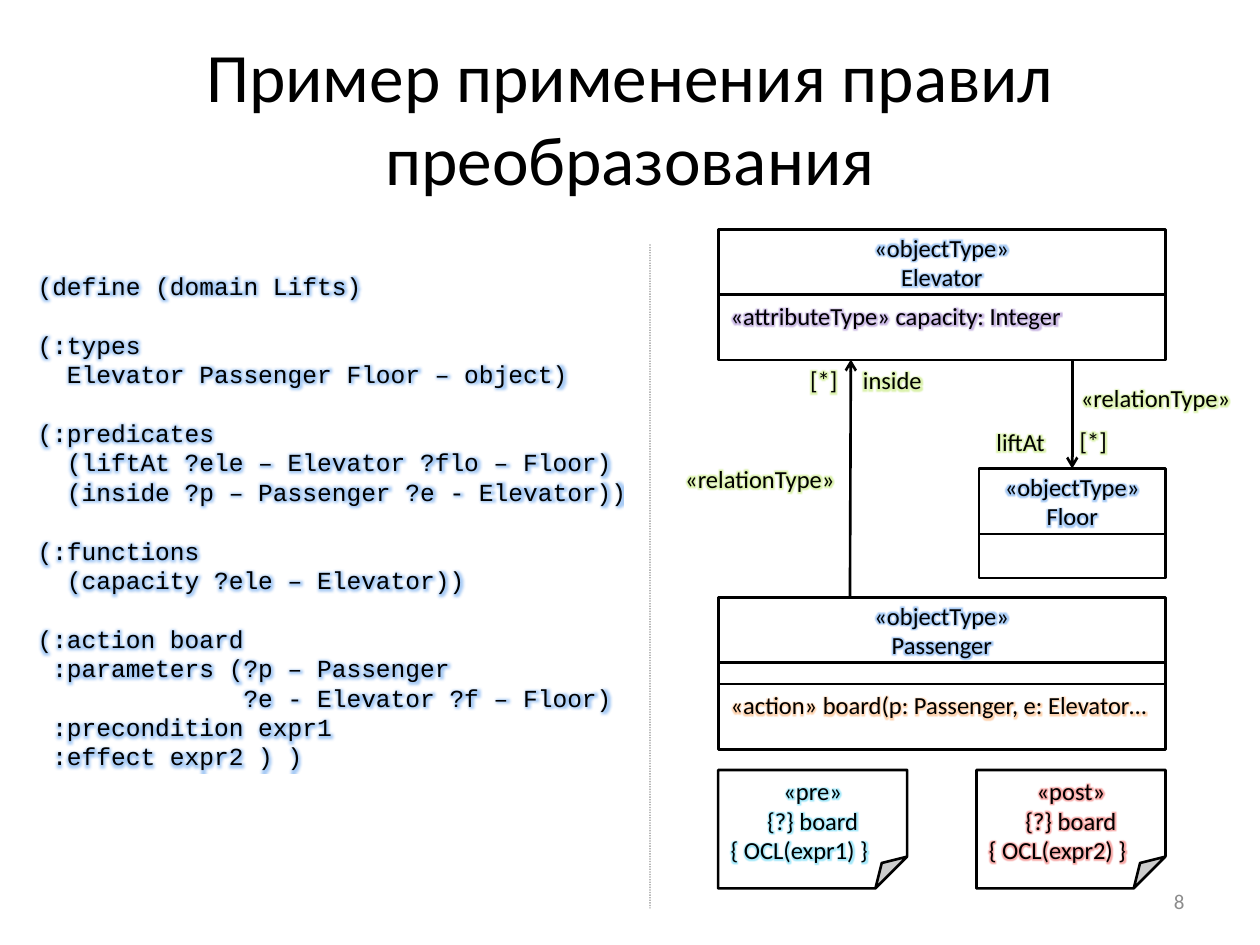
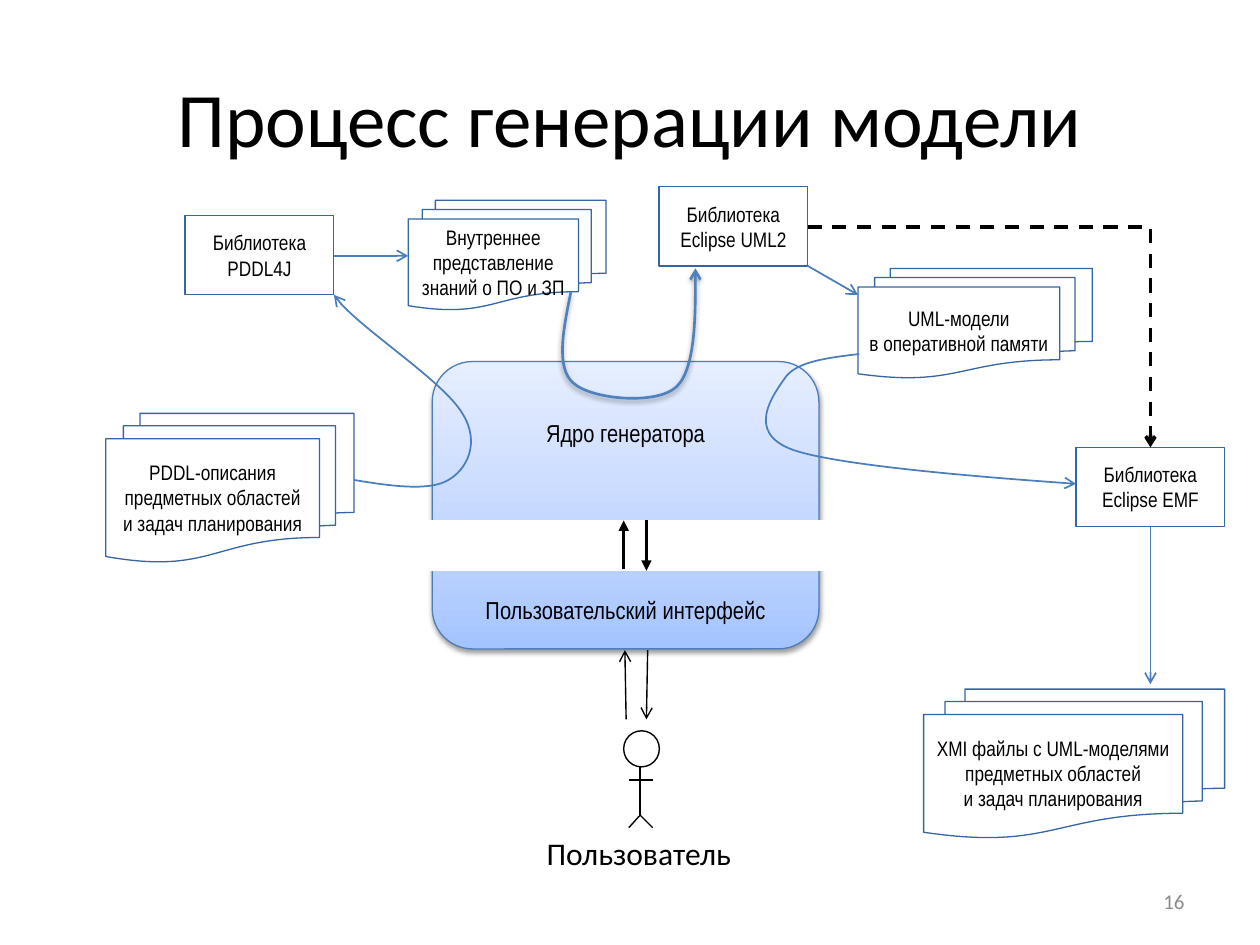
from lxml import etree
from pptx import Presentation
from pptx.dml.color import RGBColor
from pptx.enum.dml import MSO_LINE
from pptx.enum.shapes import MSO_CONNECTOR, MSO_SHAPE
from pptx.enum.text import MSO_ANCHOR, MSO_AUTO_SIZE, PP_ALIGN
from pptx.oxml import parse_xml
from pptx.oxml.ns import nsdecls, qn
from pptx.util import Pt

BLACK = RGBColor(0x00, 0x00, 0x00)
WHITE = RGBColor(0xFF, 0xFF, 0xFF)
GRAY = RGBColor(0x8C, 0x8C, 0x8C)
BORDER = RGBColor(0x34, 0x65, 0xA4)
FLOW = RGBColor(0x4B, 0x7E, 0xBC)
FLOW_BOLD = RGBColor(0x4F, 0x81, 0xBD)
TYPE_GLOW = RGBColor(0x26, 0x7D, 0xE6)
ATTRIBUTE_GLOW = RGBColor(0x7A, 0x4D, 0xBA)
RELATION_GLOW = RGBColor(0xA7, 0xDF, 0x34)
ACTION_GLOW = RGBColor(0xFF, 0x94, 0x3C)
PRE_GLOW = RGBColor(0x1D, 0xC8, 0xF4)
POST_GLOW = RGBColor(0xEB, 0x25, 0x21)
CORE_STOPS = [(0, RGBColor(0xA4, 0xC4, 0xFF)), (35, RGBColor(0xBF, 0xD4, 0xFF)),
              (100, RGBColor(0xE6, 0xEE, 0xFF))]
CALIBRI, NARROW, MONO = "Calibri", "Arial Narrow", "Courier New"

# Slide 1: domain code and its class diagram
CODE_PITCH = 16.8
CODE_BLOCKS = [
    ["(define (domain Lifts)"],
    ["(:types", "  Elevator Passenger Floor – object)"],
    ["(:predicates",
     "  (liftAt ?ele – Elevator ?flo – Floor)",
     "  (inside ?p – Passenger ?e - Elevator))"],
    ["(:functions", "  (capacity ?ele – Elevator))"],
    ["(:action board",
     " :parameters (?p – Passenger",
     "              ?e - Elevator ?f – Floor)",
     " :precondition expr1",
     " :effect expr2 ) )"],
]
HEADER_HEIGHT = 37.4
# name, left, top, width, compartments below the header (height, text, glow)
CLASSES = [
    ("Elevator", 410.4, 131, 255.6,
     [(37.4, "«attributeType» capacity: Integer", ATTRIBUTE_GLOW)]),
    ("Floor", 559.4, 267.8, 106.6, [(25.2, "", None)]),
    ("Passenger", 410.4, 341.3, 255.6,
     [(12.2, "", None), (37.4, "«action» board(p: Passenger, e: Elevator…", ACTION_GLOW)]),
]
RELATIONS = [((612.7, 205.4), (612.7, 267.8)), ((485.7, 341.3), (486.2, 205.4))]
RELATION_LABELS = [
    ("«relationType»", 384.5, 261.4, 100.8), ("liftAt", 562.3, 240.5, 42.5),
    ("[*]", 609.8, 239.8, 30.2), ("«relationType»", 610.6, 215.3, 100.8),
    ("inside", 486, 205.2, 49), ("[*]", 455.8, 205.2, 30.2),
]
NOTES = [(410.4, "«pre»", "{ OCL(expr1) }", PRE_GLOW),
         (558, "«post»", "{ OCL(expr2) }", POST_GLOW)]

# Slide 2: generation process
LIBRARIES = [("PDDL4J", 105.8, 123.1), ("Eclipse UML2", 376.6, 106.6),
             ("Eclipse EMF", 614.9, 255.6)]
DOCUMENTS = [
    (["Внутреннее", "представление", "знаний о ПО и ЗП"], 233.3, 114.5, 113, 62.6),
    (["PDDL-описания", "предметных областей", "и задач планирования"],
     60.5, 236.2, 141.8, 85),
    (["UML-модели", "в оперативной памяти"], 490.3, 153.4, 133.9, 62.6),
    (["XMI файлы с UML-моделями", "предметных областей", "и задач планирования"],
     527.8, 393.8, 172, 85),
]
CORE_LAYERS = ["Ядро генератора", "Пользовательский интерфейс"]
# start, end, width, head, colour
PROCESS_ARROWS = [
    ((190.8, 146.2), (233.3, 146.2), 1, "arrow", FLOW),
    ((461.5, 151.9), (490.3, 168.5), 1, "arrow", FLOW),
    ((657.4, 301), (657.4, 391), 1, "arrow", FLOW),
    ((356.4, 325.4), (356.4, 297.4), 0, "triangle", BLACK),
    ((369.4, 297.4), (369.4, 326.2), 0, "triangle", BLACK),
    ((357.8, 411.1), (357.1, 371.5), 0.8, "arrow", BLACK),
    ((370.1, 371.5), (369.4, 411.1), 0.8, "arrow", BLACK),
]
# start, then cubic segments (control, control, end)
PDDL_TO_LIBRARY = (202.3, 274.3), [
    [(223.9, 277.9), (245.5, 280.8), (256.3, 274.3)],
    [(266.4, 268.6), (275, 253.4), (264.2, 236.2)],
    [(253.4, 218.2), (201.6, 185), (190.8, 168.5)]]
KNOWLEDGE_TO_UML = (326.2, 167), [
    [(321.8, 188.6), (317.5, 210.2), (327.6, 218.9)],
    [(337.7, 228.2), (375.1, 231.8), (386.6, 221)],
    [(398.2, 210.2), (397.4, 153.4), (397.4, 153.4)]]
MODELS_TO_EMF = (491, 202.3), [
    [(473, 204.5), (455, 206.6), (448.6, 216)],
    [(442.1, 225.4), (425.5, 247), (452.9, 257)],
    [(481, 267.1), (614.9, 276.5), (614.9, 276.5)]]
BODY_LINES = [((365.8, 438.5), (365.8, 465.8)), ((365.8, 465.8), (359.3, 473)),
              ((365.8, 465.8), (373, 473)), ((359.3, 445.7), (373, 445.7))]


def pts(*values):
    return [Pt(value) for value in values]


def write(frame, lines, size=14, font=CALIBRI, align=PP_ALIGN.LEFT, color=BLACK, glow=None):
    for index, line in enumerate(lines):
        paragraph = frame.paragraphs[0] if index == 0 else frame.add_paragraph()
        paragraph.alignment = align
        run = paragraph.add_run()
        run.text = line
        run.font.size = Pt(size)
        run.font.color.rgb = color
        if glow is not None:
            run.font._element.append(parse_xml(
                f'<a:effectLst {nsdecls("a")}><a:glow rad="{Pt(5)}"><a:srgbClr val="{glow}">'
                '<a:alpha val="40000"/></a:srgbClr></a:glow></a:effectLst>'))
        run.font.name = font


def label(slide, box, lines, wrap=True, anchor=MSO_ANCHOR.TOP, **style):
    frame = slide.shapes.add_textbox(*pts(*box)).text_frame
    frame.word_wrap = wrap
    frame.vertical_anchor = anchor
    if not wrap:
        frame.auto_size = MSO_AUTO_SIZE.SHAPE_TO_FIT_TEXT
    write(frame, lines, **style)
    return frame


def block(slide, kind, box, lines=(), line=BLACK, width=1.5, anchor=MSO_ANCHOR.MIDDLE,
          wrap=True, **style):
    """Add a white outlined preset shape with text."""
    shape = slide.shapes.add_shape(kind, *pts(*box))
    shape.shadow.inherit = False
    shape.fill.solid()
    shape.fill.fore_color.rgb = WHITE
    shape.line.color.rgb = line
    shape.line.width = Pt(width)
    shape.text_frame.word_wrap = wrap
    shape.text_frame.vertical_anchor = anchor
    write(shape.text_frame, lines, **style)
    return shape


def add_head(shape, head):
    etree.SubElement(shape.element.spPr.find(qn("a:ln")), qn("a:tailEnd"), type=head)


def connect(slide, start, end, width, head=None, color=BLACK, dash=None,
            kind=MSO_CONNECTOR.STRAIGHT):
    link = slide.shapes.add_connector(kind, *pts(*start, *end))
    link.line.color.rgb = color
    link.line.width = Pt(width)
    if dash:
        link.line.dash_style = dash
    if head:
        add_head(link, head)
    etree.SubElement(link.element.spPr, qn("a:effectLst"))
    return link


def flow_curve(slide, start, segments, color=FLOW, width=1):
    """Add an open freeform of cubic segments that ends in an arrowhead."""
    builder = slide.shapes.build_freeform(*pts(*start))
    builder.add_line_segments([pts(*point) for segment in segments for point in segment],
                              close=False)
    curve = builder.convert_to_shape()
    steps = list(curve.element.iter(qn("a:lnTo")))
    for first, *others in zip(steps[::3], steps[1::3], steps[2::3]):
        first.tag = qn("a:cubicBezTo")
        for step in others:
            first.append(step[0])
            step.getparent().remove(step)
    curve.shadow.inherit = False
    curve.fill.background()
    curve.line.color.rgb = color
    curve.line.width = Pt(width)
    add_head(curve, "arrow")
    return curve


def drop_shadow(shape):
    shape.element.spPr.find(qn("a:effectLst")).append(parse_xml(
        f'<a:outerShdw {nsdecls("a")} blurRad="{Pt(3.1)}" dist="{Pt(1.6)}" dir="5400000" '
        'rotWithShape="0"><a:srgbClr val="000000"><a:alpha val="38000"/></a:srgbClr>'
        '</a:outerShdw>'))


def new_slide(deck, title, title_size, number):
    slide = deck.slides.add_slide(deck.slide_layouts[6])
    label(slide, (36, 21.6, 648, 90), [title], anchor=MSO_ANCHOR.MIDDLE,
          size=title_size, align=PP_ALIGN.CENTER)
    label(slide, (516, 500.5, 168, 28.8), [number], anchor=MSO_ANCHOR.MIDDLE,
          size=12, align=PP_ALIGN.RIGHT, color=GRAY)
    return slide


def build_example(deck):
    slide = new_slide(deck, "Пример применения правил преобразования", 39.6, "8")
    code = label(slide, (14.4, 151.2, 357.8, 296), sum(CODE_BLOCKS, []),
                 font=MONO, glow=TYPE_GLOW)
    for paragraph in code.paragraphs:
        paragraph.line_spacing = Pt(CODE_PITCH)
    first_line = 0
    for lines in CODE_BLOCKS[:-1]:
        first_line += len(lines)
        code.paragraphs[first_line].space_before = Pt(CODE_PITCH)
    divider = connect(slide, (371.5, 139.7), (371.5, 519.1), 0.75, dash=MSO_LINE.ROUND_DOT)
    shade = next(divider.element.spPr.iter(qn("a:srgbClr")))
    etree.SubElement(shade, qn("a:alpha"), val="41000")

    for name, left, top, width, compartments in CLASSES:
        block(slide, MSO_SHAPE.RECTANGLE, (left, top, width, HEADER_HEIGHT),
              ["«objectType»", name], align=PP_ALIGN.CENTER, glow=TYPE_GLOW)
        top += HEADER_HEIGHT
        for height, text, glow in compartments:
            block(slide, MSO_SHAPE.RECTANGLE, (left, top, width, height),
                  [text] if text else [], anchor=MSO_ANCHOR.TOP, glow=glow)
            top += height
    for start, end in RELATIONS:
        connect(slide, start, end, 1.5, "arrow")
    for text, left, top, width in RELATION_LABELS:
        label(slide, (left, top, width, 24.5), [text], wrap=False, glow=RELATION_GLOW)
    for left, stereotype, constraint, glow in NOTES:
        note = block(slide, MSO_SHAPE.FOLDED_CORNER, (left, 440, 108, 67.7),
                     [stereotype, "{?} board", constraint], anchor=MSO_ANCHOR.TOP,
                     align=PP_ALIGN.CENTER, glow=glow)
        fold = next(note.element.spPr.iter(qn("a:avLst")))
        etree.SubElement(fold, qn("a:gd"), name="adj", fmla="val 26800")
        note.text_frame.paragraphs[-1].alignment = PP_ALIGN.LEFT


def add_core(slide):
    core = block(slide, MSO_SHAPE.ROUNDED_RECTANGLE, (247, 206.6, 221, 164.2), CORE_LAYERS,
                 line=FLOW, width=0.75, wrap=False, font=NARROW, align=PP_ALIGN.CENTER)
    core.adjustments[0] = 0.14
    core.text_frame.margin_top = Pt(22)
    core.text_frame.paragraphs[1].space_before = Pt(84.5)
    stops = "".join(f'<a:gs pos="{percent * 1000}"><a:srgbClr val="{color}"/></a:gs>'
                    for percent, color in CORE_STOPS)
    properties = core.element.spPr
    properties.replace(properties.find(qn("a:solidFill")), parse_xml(
        f'<a:gradFill {nsdecls("a")} rotWithShape="1"><a:gsLst>{stops}</a:gsLst>'
        '<a:lin ang="16200000" scaled="0"/></a:gradFill>'))
    drop_shadow(core)
    block(slide, MSO_SHAPE.RECTANGLE, (235.4, 297.4, 244.1, 28.4), line=WHITE, width=0)


def build_process(deck):
    slide = new_slide(deck, "Процесс генерации модели", 44, "16")
    add_core(slide)
    caption = dict(line=BORDER, width=0, wrap=False, size=12, font=NARROW,
                   align=PP_ALIGN.CENTER)
    for lines, *box in DOCUMENTS:
        block(slide, MSO_SHAPE.FLOWCHART_MULTIDOCUMENT, box, lines, **caption)
    for name, left, top in LIBRARIES:
        block(slide, MSO_SHAPE.RECTANGLE, (left, top, 85, 45.4), ["Библиотека", name], **caption)
    block(slide, MSO_SHAPE.OVAL, (356.4, 417.6, 20.4, 20.6), width=0.8)
    for start, end in BODY_LINES:
        connect(slide, start, end, 0.8)
    label(slide, (305.3, 473, 121, 28.8), ["Пользователь"], wrap=False, size=18)
    for arrow in PROCESS_ARROWS:
        connect(slide, *arrow)
    dependency = connect(slide, (461.5, 129.6), (657.4, 255.6), 0, "arrow",
                         dash=MSO_LINE.DASH, kind=MSO_CONNECTOR.ELBOW)
    dependency.element.spPr.find(qn("a:prstGeom")).set("prst", "bentConnector2")
    drop_shadow(flow_curve(slide, *KNOWLEDGE_TO_UML, FLOW_BOLD, 1.5))
    flow_curve(slide, *PDDL_TO_LIBRARY)
    flow_curve(slide, *MODELS_TO_EMF)


presentation = Presentation()
presentation.slide_width, presentation.slide_height = pts(720, 540)
build_example(presentation)
build_process(presentation)
presentation.save("out.pptx")
